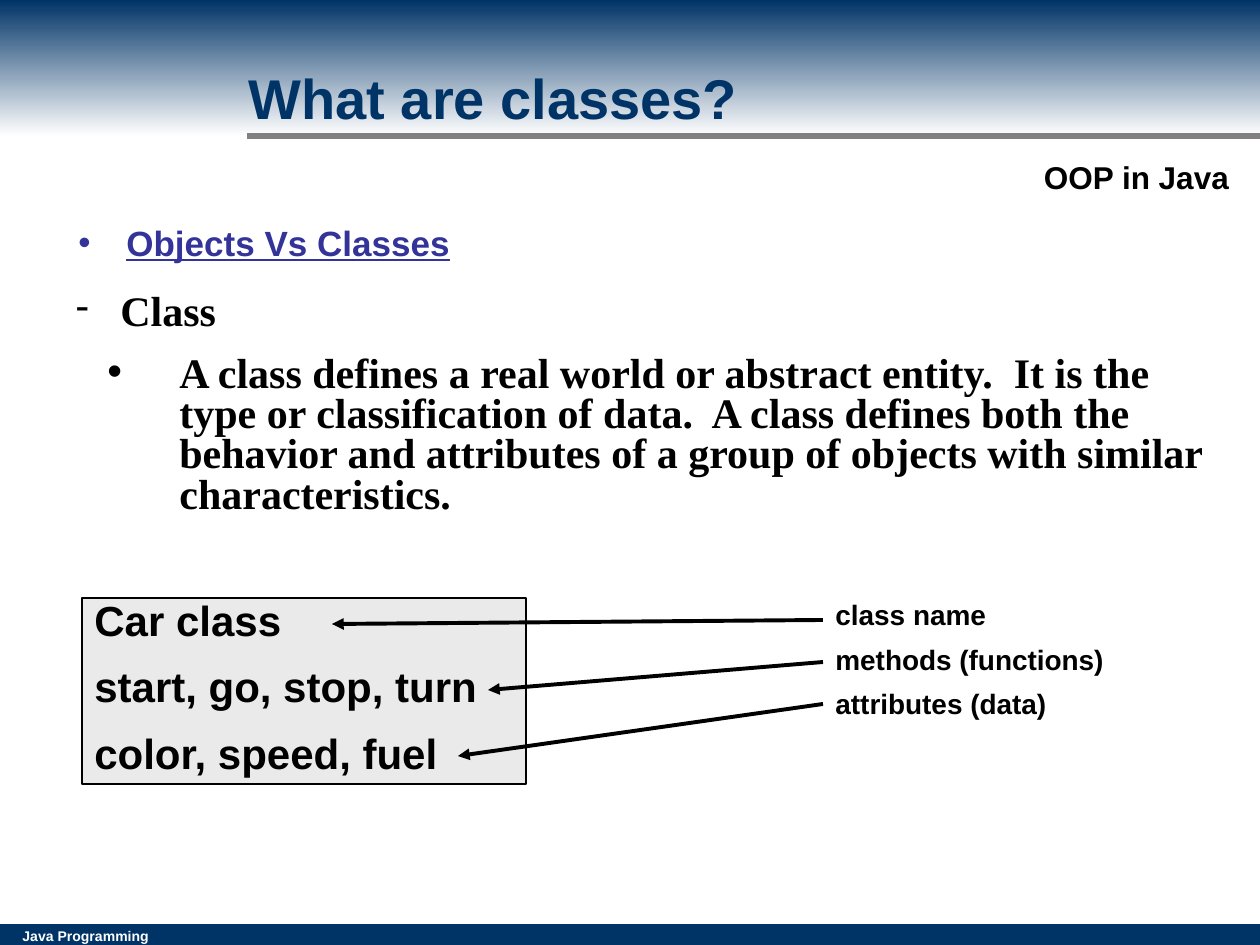
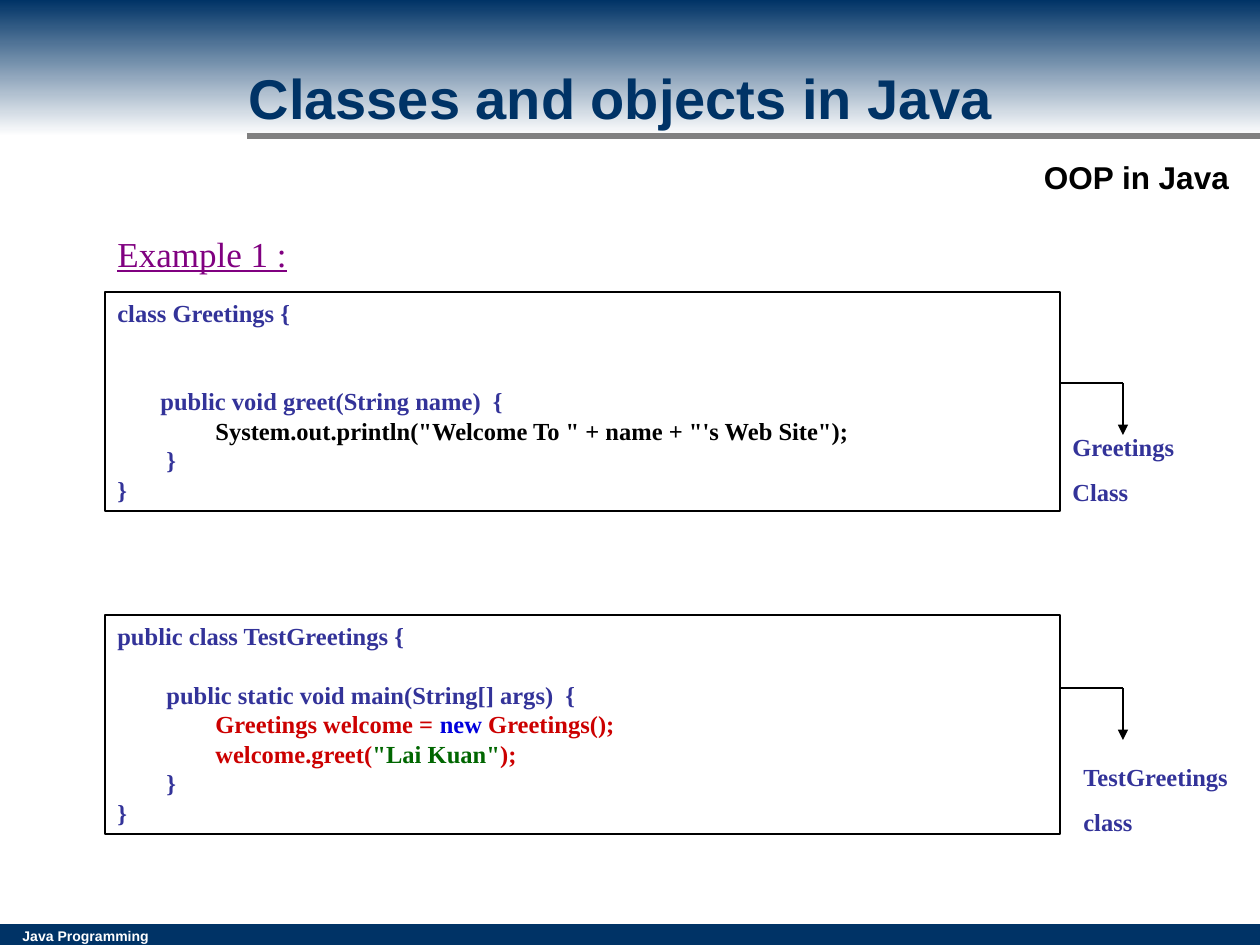
import dataclasses

import lxml.etree
import pptx
import pptx.dml.color
import pptx.enum.dml
import pptx.enum.shapes
import pptx.enum.text
import pptx.oxml.ns
import pptx.util

RGBColor = pptx.dml.color.RGBColor
Align = pptx.enum.text.PP_ALIGN
Anchor = pptx.enum.text.MSO_ANCHOR

NAVY = RGBColor(0x00, 0x33, 0x66)
WHITE = RGBColor(0xFF, 0xFF, 0xFF)
BLACK = RGBColor(0x00, 0x00, 0x00)
GRAY = RGBColor(0x80, 0x80, 0x80)
PALE_GRAY = RGBColor(0xEA, 0xEA, 0xEA)
INDIGO = RGBColor(0x33, 0x33, 0x99)
PURPLE = RGBColor(0x80, 0x00, 0x80)
RED = RGBColor(0xCC, 0x00, 0x00)
BLUE = RGBColor(0x00, 0x00, 0xDD)
GREEN = RGBColor(0x00, 0x66, 0x00)

SANS = "Arial"
SERIF = "Times New Roman"
PX_PER_INCH = 126
PAGE_WIDTH, PAGE_HEIGHT = 1260, 945
TITLE_ONLY = 5
CODE_LINE = 16.8  # points taken by one line of code


@dataclasses.dataclass
class Style:
    font: str
    size: int
    color: RGBColor = BLACK
    bold: bool = True
    underline: bool = False
    before: float = 0
    spacing: float = 1.0
    align: Align = Align.LEFT


@dataclasses.dataclass
class Line:
    """One paragraph: spans are (text, colour) pairs, a None colour follows the style."""
    spans: list
    left: int = 0
    hanging: int = 0
    bullet: str = ""
    before: float = 0


FOOTER_STYLE = Style(SANS, 8, WHITE)
TOPIC_STYLE = Style(SANS, 18, align=Align.CENTER)
TITLE_STYLE = Style(SANS, 32, NAVY)
HEADING_STYLE = Style(SANS, 20, INDIGO, underline=True, before=5)
TERM_STYLE = Style(SERIF, 24, spacing=0.5)
DEFINITION_STYLE = Style(SERIF, 24, spacing=0.8)
MEMBER_STYLE = Style(SANS, 24, before=15, spacing=0.8)
LABEL_STYLE = Style(SANS, 16, before=10, spacing=0.8)
EXAMPLE_STYLE = Style(SERIF, 20, PURPLE, bold=False, underline=True)
CODE_STYLE = Style(SERIF, 14, INDIGO)
CLASS_LABEL_STYLE = Style(SERIF, 14, INDIGO, before=8.8)


def px(length):
    return pptx.util.Emu(round(length * 914400 / PX_PER_INCH))


def area(*lengths):
    return [px(length) for length in lengths]


def plain(text, **layout):
    return Line([(text, None)], **layout)


def add_bullet(properties, line, color):
    tag = pptx.oxml.ns.qn
    bullet_color = lxml.etree.SubElement(properties, tag("a:buClr"))
    lxml.etree.SubElement(bullet_color, tag("a:srgbClr")).set("val", str(color))
    lxml.etree.SubElement(properties, tag("a:buFont")).set("typeface", SANS)
    lxml.etree.SubElement(properties, tag("a:buChar")).set("char", line.bullet)


def write_line(paragraph, line, style):
    paragraph.alignment = style.align
    paragraph.line_spacing = style.spacing
    paragraph.space_before = pptx.util.Pt(line.before or style.before)
    properties = paragraph._p.get_or_add_pPr()
    properties.set("marL", str(px(line.left)))
    properties.set("indent", str(px(-line.hanging)))
    if line.bullet:
        add_bullet(properties, line, style.color)
    font = paragraph.font
    font.name = style.font
    font.size = pptx.util.Pt(style.size)
    font.bold = style.bold
    font.underline = style.underline
    font.color.rgb = style.color
    for text, color in line.spans:
        span = paragraph.add_run()
        span.text = text
        if color is not None:
            span.font.color.rgb = color


def write_lines(frame, lines, style):
    frame.word_wrap = True
    for index, line in enumerate(lines):
        paragraph = frame.add_paragraph() if index else frame.paragraphs[0]
        write_line(paragraph, line, style)


def add_text(page, bounds, lines, style, anchor=Anchor.TOP):
    box = page.shapes.add_textbox(*area(*bounds))
    box.text_frame.vertical_anchor = anchor
    write_lines(box.text_frame, lines, style)
    return box


def add_rectangle(page, bounds, fill=None, line=None):
    box = page.shapes.add_shape(
        pptx.enum.shapes.MSO_SHAPE.RECTANGLE, *area(*bounds))
    box.shadow.inherit = False
    if fill is None:
        box.fill.background()
    else:
        box.fill.solid()
        box.fill.fore_color.rgb = fill
    if line is None:
        box.line.fill.background()
    else:
        box.line.color.rgb = line
        box.line.width = pptx.util.Pt(0.75)
    return box


def add_text_rectangle(page, bounds, lines, style, fill=None):
    box = add_rectangle(page, bounds, fill, BLACK)
    box.text_frame.vertical_anchor = Anchor.TOP
    write_lines(box.text_frame, lines, style)


def add_line(page, start, end, width, color=BLACK, arrow=False):
    tag = pptx.oxml.ns.qn
    line = page.shapes.add_connector(
        pptx.enum.shapes.MSO_CONNECTOR.STRAIGHT, *area(*start, *end))
    line.line.color.rgb = color
    line.line.width = pptx.util.Pt(width)
    if arrow:
        outline = line.line._get_or_add_ln()
        lxml.etree.SubElement(outline, tag("a:tailEnd")).set("type", "triangle")
    lxml.etree.SubElement(line._element.spPr, tag("a:effectLst"))
    return line


def add_frame(page):
    """Draw the bands, rule, topic and footer, then move them to the layout."""
    footer_band = add_rectangle(page, (0, 924, PAGE_WIDTH, 21), NAVY)
    footer = add_text(page, (10, 921, 159, 30),
                      [plain("Java Programming")], FOOTER_STYLE)
    title_band = add_rectangle(page, (0, 0, PAGE_WIDTH, 136), NAVY)
    title_band.fill.gradient()
    title_band.fill.gradient_angle = 270
    for stop, color, position in zip(
            title_band.fill.gradient_stops, (NAVY, WHITE), (0, 1)):
        stop.color.rgb = color
        stop.position = position
    rule = add_line(page, (247, 136), (PAGE_WIDTH, 136), 3, GRAY)
    topic = add_text(page, (1030, 153, 213, 48), [plain("OOP in Java")],
                     TOPIC_STYLE, Anchor.MIDDLE)
    for part in (footer_band, footer, title_band, rule, topic):
        page.slide_layout.shapes.element.append(part.element)


def add_page(deck, heading):
    page = deck.slides.add_slide(deck.slide_layouts[TITLE_ONLY])
    title = page.shapes.title
    title.left, title.top, title.width, title.height = area(236, 57, 1000, 80)
    title.text_frame.vertical_anchor = Anchor.TOP
    title.text_frame.auto_size = pptx.enum.text.MSO_AUTO_SIZE.NONE
    write_lines(title.text_frame, [plain(heading)], TITLE_STYLE)
    return page


def add_elbow_arrow(page, start, across, down):
    x, y = start
    corner = (x + across, y)
    add_line(page, start, corner, 0.75)
    add_line(page, corner, (x + across, y + down), 0.75, arrow=True)


def fill_classes_page(page):
    add_text(page, (66, 215, 1144, 60),
             [plain("Objects Vs Classes", left=48, hanging=48, bullet="•")],
             HEADING_STYLE)
    definition = add_text(
        page, (0, 300, 1226, 224),
        [plain("Class", left=108, hanging=45, bullet="-")], TERM_STYLE)
    write_line(
        definition.text_frame.add_paragraph(),
        plain("A class defines a real world or abstract entity.  It is the "
              "type or classification of data.  A class defines both the "
              "behavior and attributes of a group of objects with similar "
              "characteristics.", left=167, hanging=72, bullet="•", before=14),
        DEFINITION_STYLE)

    members = ("Car class", "start, go, stop, turn", "color, speed, fuel")
    labels = ("class name", "methods (functions)", "attributes (data)")
    add_text_rectangle(page, (82, 598, 444, 186),
                       [plain(member) for member in members],
                       MEMBER_STYLE, PALE_GRAY)
    add_text(page, (823, 598, 400, 128),
             [plain(label) for label in labels], LABEL_STYLE)
    for index, tip in enumerate([(332, 624), (488, 690), (458, 756)]):
        add_line(page, (823, 620 + 42 * index), tip, 2.25, arrow=True)


def fill_example_page(page):
    add_text(page, (105, 226, 420, 55), [plain("Example 1 :")], EXAMPLE_STYLE)
    greetings = [
        plain("class Greetings {"),
        plain("public void greet(String name)  {", left=43, before=2 * CODE_LINE),
        Line([('System.out.println("Welcome To " + name + "\'s Web Site");', BLACK)],
             left=98),
        plain("}", left=49),
        plain("}"),
    ]
    test_greetings = [
        plain("public class TestGreetings {"),
        plain("public static void main(String[] args)  {", left=49, before=CODE_LINE),
        Line([("Greetings welcome = ", RED), ("new", BLUE), (" Greetings();", RED)],
             left=98),
        Line([("welcome.greet(", RED), ('"Lai Kuan"', GREEN), (");", RED)], left=98),
        plain("}", left=49),
        plain("}"),
    ]
    for top, code in ((292, greetings), (615, test_greetings)):
        add_text_rectangle(page, (105, top, 955, 219), code, CODE_STYLE)
    for top in (383, 688):
        add_elbow_arrow(page, (1060, top), 63, 52)
    for bounds, words in (((1060, 426, 148, 87), ("Greetings", "Class")),
                          ((1071, 756, 189, 87), ("TestGreetings", "class"))):
        add_text(page, bounds, [plain(word) for word in words], CLASS_LABEL_STYLE)


def main():
    deck = pptx.Presentation()
    deck.slide_width, deck.slide_height = area(PAGE_WIDTH, PAGE_HEIGHT)
    classes_page = add_page(deck, "What are classes?")
    add_frame(classes_page)
    fill_classes_page(classes_page)
    fill_example_page(add_page(deck, "Classes and objects in Java"))
    deck.save("out.pptx")


if __name__ == "__main__":
    main()
